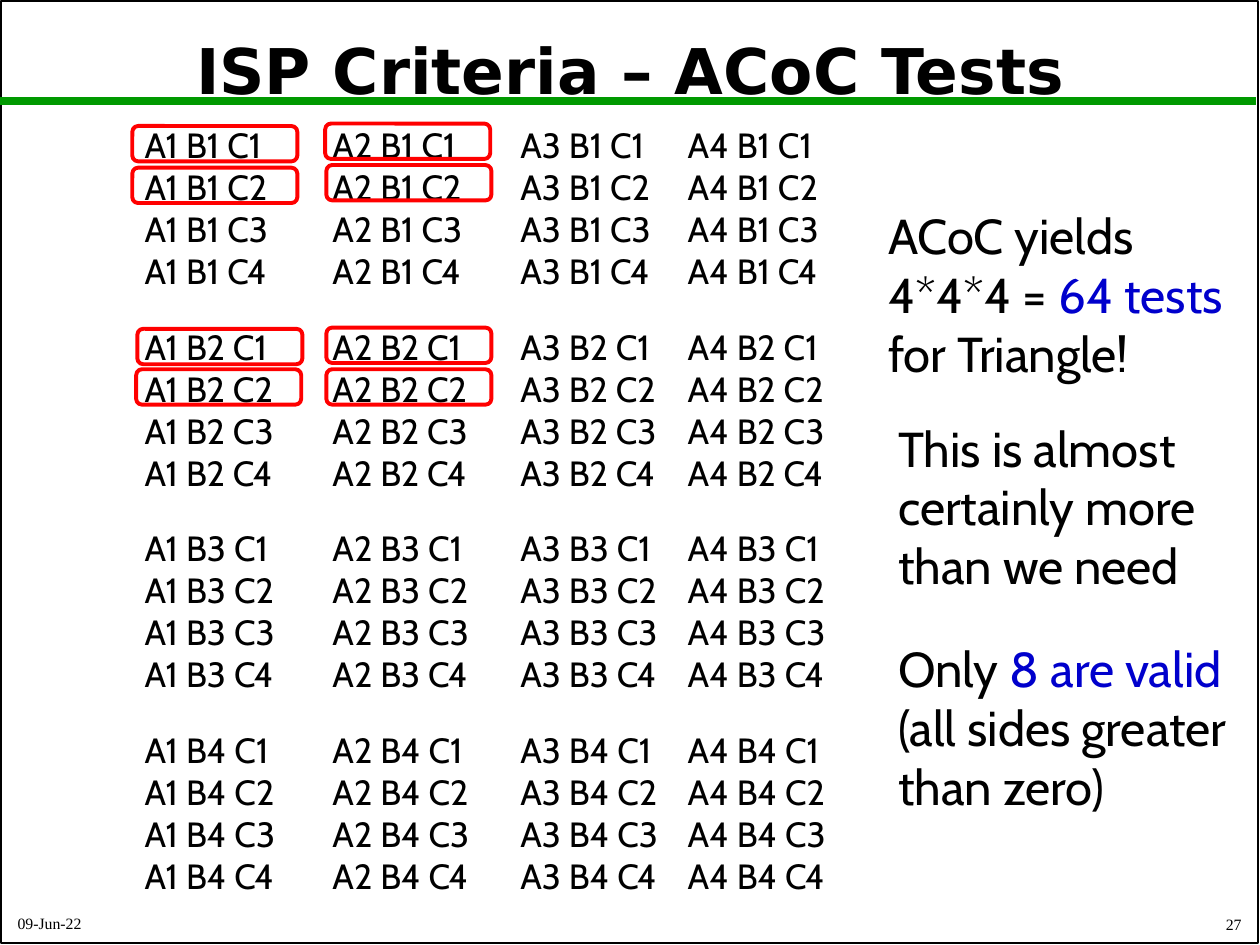
"""Build the ISP criteria slide listing the ACoC tests."""
from dataclasses import dataclass

import pptx
import pptx.dml.color
import pptx.enum.shapes
import pptx.enum.text
import pptx.oxml.ns
import pptx.util
from lxml import etree

Pt = pptx.util.Pt
Align = pptx.enum.text.PP_ALIGN
Anchor = pptx.enum.text.MSO_ANCHOR
Preset = pptx.enum.shapes.MSO_SHAPE


@dataclass(frozen=True)
class Theme:
    """Colours, fonts and type sizes of the slide."""

    ink: str = "000000"
    accent: str = "0000CC"
    rule: str = "009900"
    mark: str = "FF0000"
    title_font: str = "DejaVu Sans"
    body_font: str = "Cabin"
    small_font: str = "Times New Roman"
    title_size: float = 36
    note_size: float = 28
    test_size: float = 20
    small_size: float = 9
    group_gap: float = 19.2


class Deck:
    """Holds the theme and the current slide."""

    def __init__(self, prs, theme):
        """Start a title-only slide."""
        self.theme = theme
        self.s = prs.slides.add_slide(prs.slide_layouts[5])

    def color(self, value):
        """Return an RGB colour."""
        return pptx.dml.color.RGBColor.from_string(value)

    def style(self, p, font, size, color=None, bold=False):
        """Format every run of a paragraph."""
        for r in p.runs:
            r.font.name = font
            r.font.size = Pt(size)
            r.font.bold = bold
            r.font.color.rgb = self.color(color or self.theme.ink)

    def title(self, text, x, y, w, h):
        """Place the title in front of the shapes drawn so far."""
        sp = self.s.shapes.title
        sp.left, sp.top, sp.width, sp.height = Pt(x), Pt(y), Pt(w), Pt(h)
        tf = sp.text_frame
        tf.text = text
        tf.auto_size = pptx.enum.text.MSO_AUTO_SIZE.NONE
        tf.vertical_anchor = Anchor.MIDDLE
        p = tf.paragraphs[0]
        p.alignment = Align.CENTER
        p.line_spacing = 0.9
        self.style(p, self.theme.title_font, self.theme.title_size, bold=True)
        self.s.shapes._spTree.append(sp._element)

    def box(self, x, y, w, h, anchor=Anchor.TOP):
        """Add a wrapping text box and return its text frame."""
        tf = self.s.shapes.add_textbox(Pt(x), Pt(y), Pt(w), Pt(h)).text_frame
        tf.word_wrap = True
        tf.vertical_anchor = anchor
        return tf

    def footer(self, text, x, y, w, h, align):
        """Add a small line of text at the foot."""
        tf = self.box(x, y, w, h, Anchor.BOTTOM)
        tf.text = text
        p = tf.paragraphs[0]
        p.alignment = align
        self.style(p, self.theme.small_font, self.theme.small_size)

    def tests(self, groups, x, y, w, h):
        """Add a column of tests with a gap before each later group."""
        tf = self.box(x, y, w, h)
        tf.text = "\n".join(test for group in groups for test in group)
        for i, p in enumerate(tf.paragraphs):
            if i and i % len(groups[0]) == 0:
                p.space_before = Pt(self.theme.group_gap)
            self.style(p, self.theme.body_font, self.theme.test_size)

    def note(self, before, key, after, x, y, w, h):
        """Add a remark with an optional coloured key phrase."""
        p = self.box(x, y, w, h).paragraphs[0]
        p.text = before
        for text in filter(None, (key, after)):
            p.add_run().text = text
        self.style(p, self.theme.body_font, self.theme.note_size)
        if key:
            p.runs[1].font.color.rgb = self.color(self.theme.accent)

    def outline(self, preset, x, y, w, h, color, weight):
        """Add an unfilled shape."""
        sp = self.s.shapes.add_shape(preset, Pt(x), Pt(y), Pt(w), Pt(h))
        sp.shadow.inherit = False
        sp.fill.background()
        sp.line.color.rgb = self.color(color)
        sp.line.width = Pt(weight)

    def rule(self, x1, x2, y, color, weight):
        """Add a horizontal line."""
        line = self.s.shapes.add_connector(
            pptx.enum.shapes.MSO_CONNECTOR.STRAIGHT, Pt(x1), Pt(y), Pt(x2), Pt(y))
        line.line.color.rgb = self.color(color)
        line.line.width = Pt(weight)
        etree.SubElement(line._element.spPr, pptx.oxml.ns.qn("a:effectLst"))


def main():
    """Build and save the slide."""
    prs = pptx.Presentation()
    prs.slide_width, prs.slide_height = Pt(720), Pt(540)
    theme = Theme()
    deck = Deck(prs, theme)

    deck.outline(Preset.RECTANGLE, 0.7, 0.7, 718, 538, theme.ink, 1)
    deck.rule(0, 718, 57.6, theme.rule, 4.5)
    deck.title("ISP Criteria – ACoC Tests", 3.6, 8, 713, 68.4)
    deck.footer("09-Jun-22", 3, 517, 302, 19.5, Align.LEFT)
    deck.footer("27", 566.6, 516.2, 150, 21, Align.RIGHT)

    for a, x in enumerate((75.6, 182.9, 290.2, 385.9), 1):
        groups = [[f"A{a} B{b} C{c}" for c in range(1, 5)] for b in range(1, 5)]
        deck.tests(groups, x, 67, 95, 468)

    notes = (
        ("ACoC yields 4*4*4 = ", "64 tests ", "for Triangle!", 500.4, 113.8),
        ("This is almost certainly more than we need", "", "", 506.2, 235.4),
        ("Only ", "8 are valid ", "(all sides greater than zero)", 506.2, 361.4),
    )
    for before, key, after, x, y in notes:
        deck.note(before, key, after, x, y, 208, 108.7)

    valid_tests = ((75.6, 72), (185.8, 70.6), (75.6, 95.8), (186.5, 94.3),
                   (78.5, 187.9), (186.5, 187.2), (77.8, 211), (186.5, 211))
    for x, y in valid_tests:
        deck.outline(Preset.ROUNDED_RECTANGLE, x, y, 94.3, 20.2, theme.mark, 2.25)

    prs.save("out.pptx")


if __name__ == "__main__":
    main()
